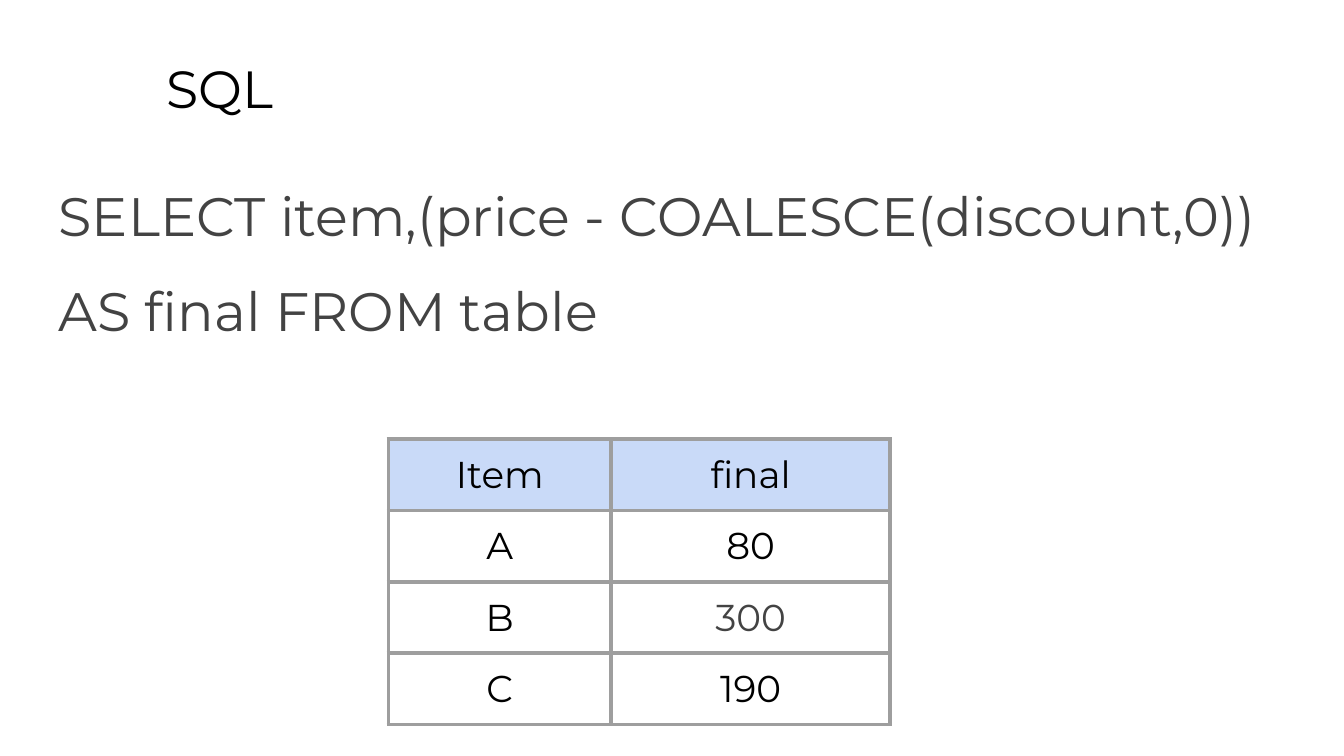
from lxml.etree import SubElement
from pptx import Presentation
from pptx.dml.color import RGBColor
from pptx.enum.text import MSO_ANCHOR, PP_ALIGN
from pptx.oxml.ns import qn
from pptx.util import Cm, Pt

FONT = "Montserrat"
BLACK = RGBColor(0x00, 0x00, 0x00)
DARK_GREY = RGBColor(0x43, 0x43, 0x43)
BORDER_GREY = RGBColor(0x9E, 0x9E, 0x9E)
HEADER_BLUE = RGBColor(0xC9, 0xDA, 0xF8)
MARGIN = Cm(0.25)


def style_paragraph(para, size, color):
    """Set the font, size and colour of a paragraph."""
    para.font.name = FONT
    para.font.size = Pt(size)
    para.font.color.rgb = color


def add_text(page, box, lines, size, color, gap=0):
    """Place lines of text in a box, with a gap in points between them."""
    frame = page.shapes.add_textbox(*box).text_frame
    frame.word_wrap = True
    frame.vertical_anchor = MSO_ANCHOR.TOP
    frame.margin_left = frame.margin_right = MARGIN
    frame.margin_top = frame.margin_bottom = MARGIN
    frame.text = "\n".join(lines)
    for index, para in enumerate(frame.paragraphs):
        style_paragraph(para, size, color)
        para.space_before = Pt(gap if index else 0)


def add_borders(cell):
    """Draw a grey line on all four sides of a cell."""
    properties = cell._tc.get_or_add_tcPr()
    for position, side in enumerate(("lnL", "lnR", "lnT", "lnB")):
        line = SubElement(properties, qn(f"a:{side}"), w=str(Pt(2.25)))
        fill = SubElement(line, qn("a:solidFill"))
        SubElement(fill, qn("a:srgbClr"), val=str(BORDER_GREY))
        properties.insert(position, line)


def fill_cell(cell, value, color, is_header):
    """Write a centred value in a cell and set its fill and borders."""
    cell.margin_left = cell.margin_right = MARGIN
    cell.margin_top = cell.margin_bottom = MARGIN
    cell.text = value
    para = cell.text_frame.paragraphs[0]
    para.alignment = PP_ALIGN.CENTER
    style_paragraph(para, 20, color)
    if is_header:
        cell.fill.solid()
        cell.fill.fore_color.rgb = HEADER_BLUE
    else:
        cell.fill.background()
    add_borders(cell)


def add_result_table(page, box, rows, shares):
    """Place the query result in a box, its width split by shares."""
    left, top, width, height = box
    table = page.shapes.add_table(len(rows), len(shares), *box).table
    table.horz_banding = False
    for column, share in zip(table.columns, shares):
        column.width = int(width * share / sum(shares))
    for row_index, values in enumerate(rows):
        table.rows[row_index].height = int(height / len(rows))
        for column_index, value in enumerate(values):
            color = DARK_GREY if value == "300" else BLACK
            cell = table.cell(row_index, column_index)
            fill_cell(cell, value, color, row_index == 0)


def build_query_slide(page):
    """Place the title, the query and its result on the page."""
    add_text(page, (Cm(2.9), Cm(0.81), Cm(21.64), Cm(1.6)), ["SQL"], 28, BLACK)
    query = ["SELECT item,(price - COALESCE(discount,0))", "AS final FROM table"]
    query_box = (Cm(0.86), Cm(3.2), Cm(24.54), Cm(9.5))
    add_text(page, query_box, query, 29, DARK_GREY, gap=16)
    result = [("Item", "final"), ("A", "80"), ("B", "300"), ("C", "190")]
    result_box = (Cm(7.34), Cm(8.3), Cm(9.48), Cm(4.68))
    add_result_table(page, result_box, result, (4, 5))


def main():
    """Build the deck and save it."""
    deck = Presentation()
    deck.slide_width = Cm(25.4)
    deck.slide_height = Cm(14.29)
    build_query_slide(deck.slides.add_slide(deck.slide_layouts[6]))
    deck.save("out.pptx")


if __name__ == "__main__":
    main()
